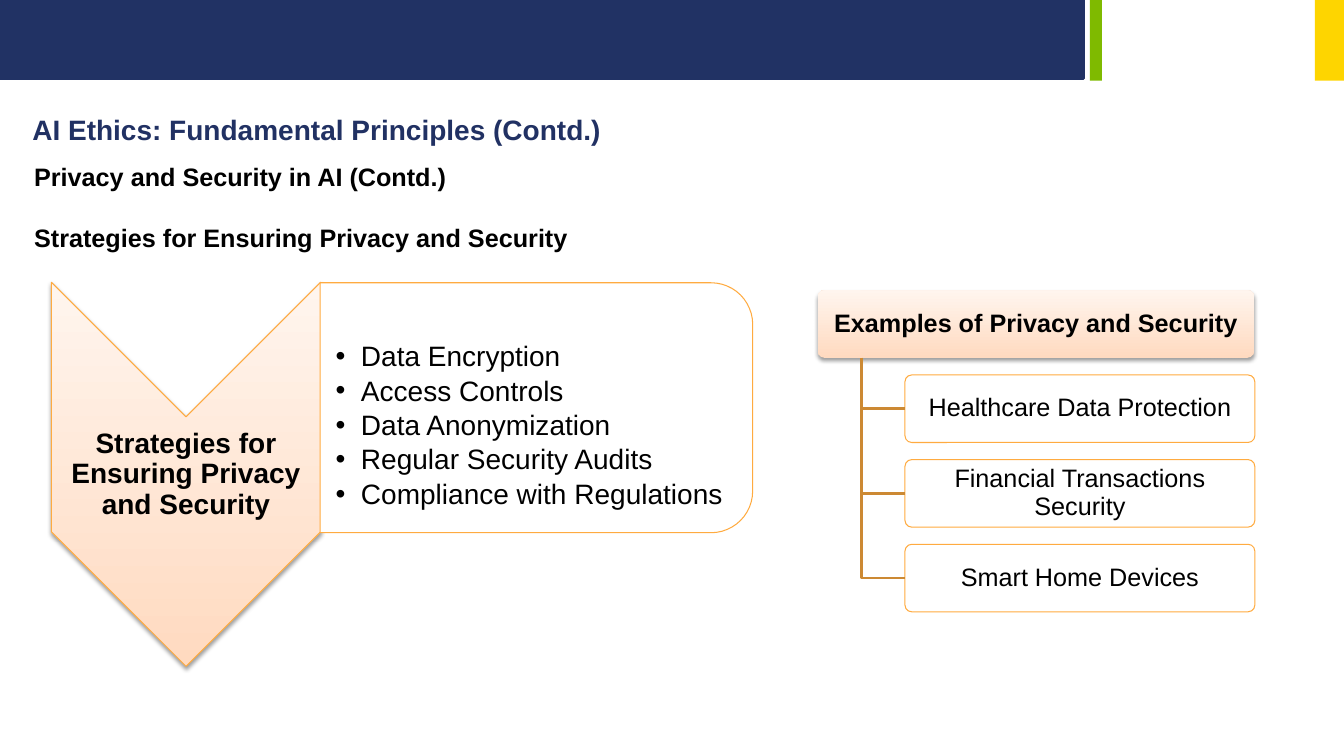
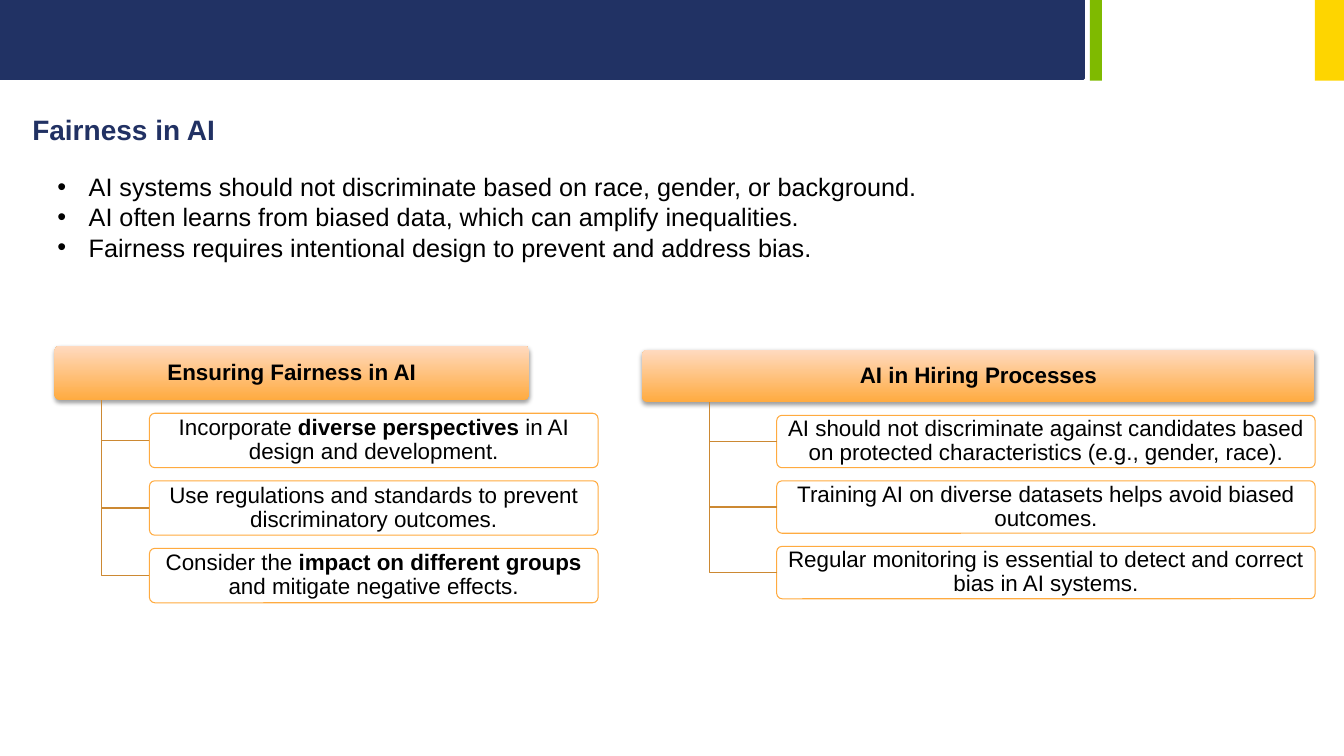
from dataclasses import dataclass

from lxml.etree import SubElement
from pptx import Presentation
from pptx.dml.color import RGBColor
from pptx.enum.shapes import MSO_SHAPE
from pptx.enum.text import MSO_ANCHOR, MSO_AUTO_SIZE, PP_ALIGN
from pptx.oxml.ns import qn
from pptx.util import Inches, Pt


@dataclass(frozen=True)
class Theme:
    font: str = "Arial"
    navy: str = "213264"
    title: str = "213163"
    green: str = "7FBA00"
    yellow: str = "FED500"
    white: str = "FFFFFF"
    black: str = "000000"
    orange: str = "FFAB40"
    branch: str = "CC8933"
    pale: tuple = ("FFDAC0", "FFF5EE")
    vivid: tuple = ("FFAB40", "FFDAC0")
    large: int = 20
    medium: int = 18
    small: int = 16


theme = Theme()


def put_text(shape, paragraphs, size=theme.medium, color=theme.black, bold=False,
             align=PP_ALIGN.LEFT, anchor=MSO_ANCHOR.TOP, insets=(0.1, 0.05),
             spacing=1.0, before=0, after=0, bullet_indent=None):
    """Fill a shape with paragraphs; text between asterisks is bold."""
    frame = shape.text_frame
    frame.word_wrap = True
    frame.auto_size = MSO_AUTO_SIZE.NONE
    frame.vertical_anchor = anchor
    frame.margin_left = frame.margin_right = Inches(insets[0])
    frame.margin_top = frame.margin_bottom = Inches(insets[1])
    for index, text in enumerate(paragraphs):
        paragraph = frame.add_paragraph() if index else frame.paragraphs[0]
        if bullet_indent:
            properties = paragraph._p.get_or_add_pPr()
            properties.set("marL", str(Inches(bullet_indent)))
            properties.set("indent", str(-Inches(bullet_indent)))
            bullet_color = SubElement(properties, qn("a:buClr"))
            SubElement(bullet_color, qn("a:srgbClr"), val=color)
            SubElement(properties, qn("a:buFont"), typeface=theme.font)
            SubElement(properties, qn("a:buChar"), char="•")
        paragraph.alignment = align
        paragraph.line_spacing = spacing
        paragraph.space_before = Pt(before if index else 0)
        paragraph.space_after = Pt(after)
        for part, words in enumerate(text.split("*")):
            if words:
                run = paragraph.add_run()
                run.text = words
                run.font.name = theme.font
                run.font.size = Pt(size)
                run.font.bold = bold or part % 2 == 1
                run.font.color.rgb = RGBColor.from_string(color)


def draw(slide, preset, box, fill, line=None, line_width=0.75, raised=False):
    """Add a preset shape; a pair of colours makes an upward gradient."""
    shape = slide.shapes.add_shape(preset, *map(Inches, box))
    shape.shadow.inherit = False
    if isinstance(fill, tuple):
        shape.fill.gradient()
        shape.fill.gradient_angle = 90
        for stop, color in zip(shape.fill.gradient_stops, fill):
            stop.color.rgb = RGBColor.from_string(color)
        shape.element.spPr.find(qn("a:gradFill")).set("rotWithShape", "0")
    else:
        shape.fill.solid()
        shape.fill.fore_color.rgb = RGBColor.from_string(fill)
    if line:
        shape.line.color.rgb = RGBColor.from_string(line)
        shape.line.width = Pt(line_width)
    else:
        shape.line.fill.background()
    if raised:
        effects = shape.element.spPr.find(qn("a:effectLst"))
        shadow = SubElement(effects, qn("a:outerShdw"), blurRad=str(Pt(3.1)),
                            dist=str(Pt(1.6)), dir="5400000", rotWithShape="0")
        shadow_color = SubElement(shadow, qn("a:srgbClr"), val=theme.black)
        SubElement(shadow_color, qn("a:alpha"), val="38000")
    return shape


prs = Presentation()
prs.slide_width = Inches(13.33)
prs.slide_height = Inches(7.5)
layout = prs.slide_layouts[1]

# Shared title position
title_area = layout.placeholders[0]
title_area.left, title_area.top = Inches(0.22), Inches(1.07)
title_area.width, title_area.height = Inches(9), Inches(0.44)

# Slides with their titles and lists
contents = [
    ("AI Ethics: Fundamental Principles (Contd.)",
     ["Data Encryption", "Access Controls", "Data Anonymization",
      "Regular Security Audits", "Compliance with Regulations"],
     (3.17, 3.36, 4.17, 1.74),
     dict(size=theme.large, anchor=MSO_ANCHOR.MIDDLE, insets=(0.16, 0.01),
          spacing=0.9, after=3, bullet_indent=0.25)),
    ("Fairness in AI",
     ["AI systems should not discriminate based on race, gender, or background.",
      "AI often learns from biased data, which can amplify inequalities.",
      "Fairness requires intentional design to prevent and address bias."],
     (0.47, 1.65, 11.25, 1.01),
     dict(bullet_indent=0.31)),
]
for title, points, box, point_format in contents:
    slide = prs.slides.add_slide(layout)
    put_text(slide.shapes.title, [title], size=theme.large, color=theme.title, bold=True)
    points_area = slide.placeholders[1]
    points_area.left, points_area.top, points_area.width, points_area.height = map(Inches, box)
    put_text(points_area, points, **point_format)
privacy, fairness = prs.slides

# Header bands, moved to the master
bands = [
    ((0, 0, 10.75, 0.78), theme.navy, theme.navy),
    ((10.81, 0, 0.12, 0.8), theme.green, None),
    ((13.04, 0, 0.29, 0.8), theme.yellow, None),
]
for index, (box, fill, line) in enumerate(bands):
    band = draw(privacy, MSO_SHAPE.RECTANGLE, box, fill, line, line_width=2)
    band.element.nvSpPr.cNvPr.set("id", str(20 + index))
    prs.slide_master.shapes.element.insert(2 + index, band.element)

# Privacy: subheadings
subheadings = privacy.shapes.add_textbox(*map(Inches, (0.24, 1.55, 6.67, 1.01)))
put_text(subheadings, ["Privacy and Security in AI (Contd.)",
                       "Strategies for Ensuring Privacy and Security"],
         bold=True, before=22)

# Privacy: strategies chevron and list frame, placed behind the list
chevron = draw(privacy, MSO_SHAPE.CHEVRON, (-0.06, 3.37, 3.81, 2.67),
               theme.pale, theme.orange, raised=True)
list_frame = draw(privacy, MSO_SHAPE.ROUND_2_SAME_RECTANGLE, (4.08, 1.9, 2.48, 4.29),
                  theme.white, theme.orange)
for index, backdrop in enumerate([chevron, list_frame]):
    backdrop.rotation = 90
    privacy.shapes.element.insert(2 + index, backdrop.element)
strategies = privacy.shapes.add_textbox(*map(Inches, (0.51, 4.14, 2.67, 1.14)))
put_text(strategies, ["Strategies for Ensuring Privacy and Security"],
         size=theme.large, bold=True, align=PP_ALIGN.CENTER,
         anchor=MSO_ANCHOR.MIDDLE, insets=(0.01, 0.01), spacing=0.9)

# Trees: slide, heading, heading box, item width, row pitch,
# fill, text size, insets, branch width, items
trees = [
    (privacy, "Examples of Privacy and Security", (8.11, 2.88, 4.33, 0.67), 3.47, 0.84,
     theme.pale, theme.medium, (0.04, 0.03), 2,
     ["Healthcare Data Protection", "Financial Transactions Security",
      "Smart Home Devices"]),
    (fairness, "Ensuring Fairness in AI", (0.54, 3.43, 4.71, 0.54), 4.45, 0.67,
     theme.vivid, theme.small, (0.03, 0.02), 0.75,
     ["Incorporate *diverse perspectives* in AI design and development.",
      "Use regulations and standards to prevent discriminatory outcomes.",
      "Consider the *impact on different groups* and mitigate negative effects."]),
    (fairness, "AI in Hiring Processes", (6.37, 3.47, 6.67, 0.52), 5.34, 0.65,
     theme.vivid, theme.small, (0.03, 0.02), 0.75,
     ["AI should not discriminate against candidates based on protected "
      "characteristics (e.g., gender, race).",
      "Training AI on diverse datasets helps avoid biased outcomes.",
      "Regular monitoring is essential to detect and correct bias in AI systems."]),
]
for slide, heading, box, item_width, pitch, fill, size, insets, branch_width, items in trees:
    left, top, width, height = box
    label = dict(size=size, align=PP_ALIGN.CENTER, anchor=MSO_ANCHOR.MIDDLE,
                 insets=insets, spacing=0.9)
    root = draw(slide, MSO_SHAPE.ROUNDED_RECTANGLE, box, fill, raised=True)
    root.adjustments[0] = 0.1
    put_text(root, [heading], bold=True, **label)

    # Each item hangs on an elbow from the bottom of the heading
    trunk_x = Inches(left + 0.1 * width)
    for row, item in enumerate(items, start=1):
        leaf = draw(slide, MSO_SHAPE.ROUNDED_RECTANGLE,
                    (left + 0.2 * width, top + pitch * row, item_width, height),
                    theme.white, theme.orange)
        leaf.adjustments[0] = 0.1
        put_text(leaf, [item], **label)
        middle = leaf.top + leaf.height // 2
        outline = slide.shapes.build_freeform(trunk_x, root.top + root.height)
        outline.add_line_segments([(trunk_x, middle), (leaf.left, middle)], close=False)
        elbow = outline.convert_to_shape()
        elbow.shadow.inherit = False
        elbow.fill.background()
        elbow.line.color.rgb = RGBColor.from_string(theme.branch)
        elbow.line.width = Pt(branch_width)

prs.save("out.pptx")
